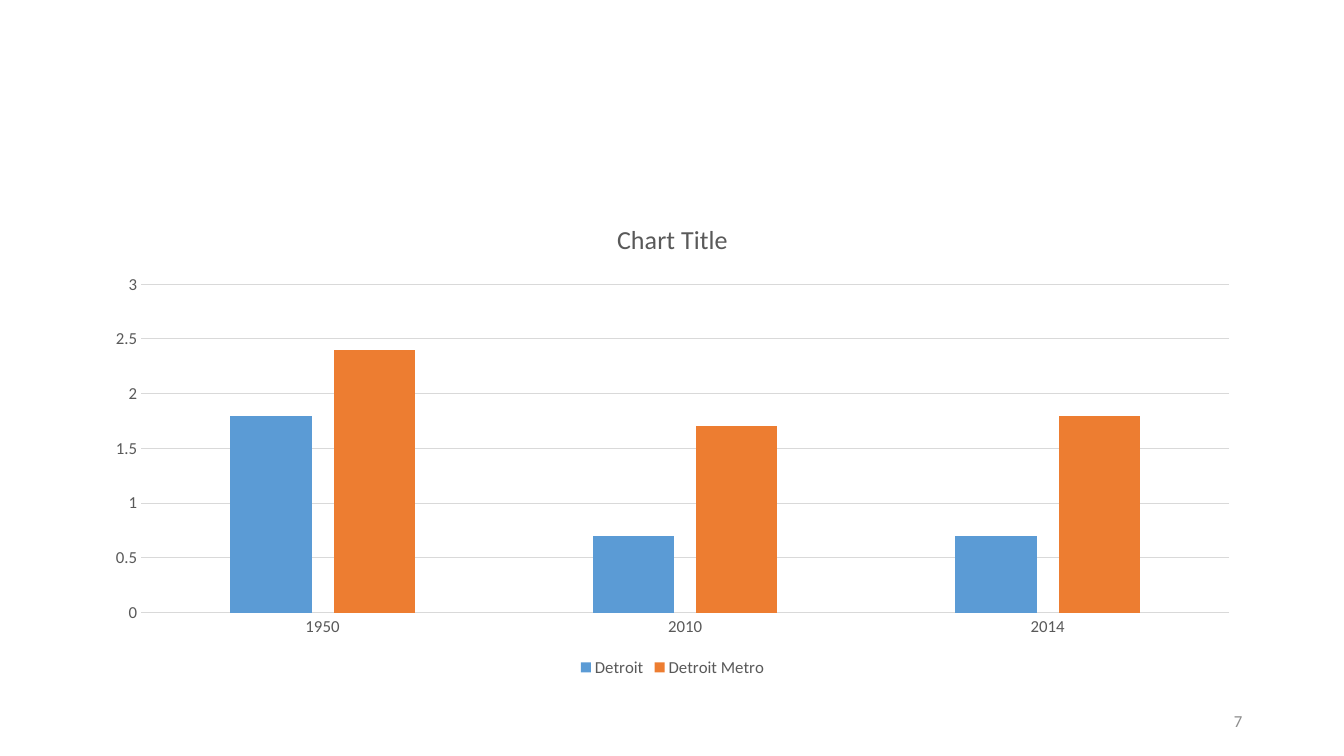
from dataclasses import dataclass

from pptx import Presentation
from pptx.chart.data import CategoryChartData
from pptx.dml.color import RGBColor
from pptx.enum.chart import XL_CHART_TYPE as ChartType
from pptx.enum.chart import XL_LEGEND_POSITION as LegendPosition
from pptx.enum.chart import XL_TICK_MARK as TickMark
from pptx.enum.text import MSO_ANCHOR as Anchor
from pptx.enum.text import PP_ALIGN as Align
from pptx.util import Inches, Pt

FONT = "Calibri"
COLORS = {
    "text": "595959",
    "number": "8C8C8C",
    "line": "D9D9D9",
    "city": "5B9BD5",
    "metro": "ED7D31",
}


@dataclass
class Population:
    name: str
    values: tuple[float, ...]
    color: str


YEARS = ("1950", "2010", "2014")
POPULATIONS = (
    Population("Detroit", (1.8, 0.7, 0.7), "city"),
    Population("Detroit Metro", (2.4, 1.7, 1.8), "metro"),
)


def rgb(color: str) -> RGBColor:
    return RGBColor.from_string(COLORS[color])


def style_font(font, size: float = 12, color: str = "text") -> None:
    font.name = FONT
    font.size = Pt(size)
    font.bold = False
    font.color.rgb = rgb(color)


def style_line(line) -> None:
    line.color.rgb = rgb("line")
    line.width = Pt(0.75)


def write(frame, text: str, *, size: float = 12, color: str = "text",
          align: Align = Align.CENTER) -> None:
    paragraph = frame.paragraphs[0]
    paragraph.alignment = align
    run = paragraph.add_run()
    run.text = text
    style_font(run.font, size, color)


def add_population_chart(slide) -> None:
    data = CategoryChartData()
    data.categories = YEARS
    for population in POPULATIONS:
        data.add_series(population.name, population.values)
    chart = slide.shapes.add_chart(
        ChartType.COLUMN_CLUSTERED,
        Inches(0.92), Inches(2), Inches(11.5), Inches(4.76), data).chart
    style_font(chart.font)

    # Title and legend
    chart.has_title = True
    write(chart.chart_title.text_frame, "Chart Title", size=18.6)
    chart.chart_title.include_in_layout = False
    chart.has_legend = True
    chart.legend.position = LegendPosition.BOTTOM
    chart.legend.include_in_layout = False
    style_font(chart.legend.font)

    # Axes
    years, millions = chart.category_axis, chart.value_axis
    for axis in (years, millions):
        axis.major_tick_mark = TickMark.NONE
        axis.minor_tick_mark = TickMark.NONE
        style_font(axis.tick_labels.font)
    style_line(years.format.line)
    millions.format.line.fill.background()
    millions.has_major_gridlines = True
    style_line(millions.major_gridlines.format.line)
    millions.minimum_scale = 0
    millions.maximum_scale = 3
    millions.major_unit = 0.5

    # Columns
    plot = chart.plots[0]
    plot.gap_width = 219
    plot.overlap = -27
    plot.vary_by_categories = False
    for series, population in zip(plot.series, POPULATIONS):
        series.format.fill.solid()
        series.format.fill.fore_color.rgb = rgb(population.color)


def add_page_number(slide, number: str) -> None:
    frame = slide.shapes.add_textbox(
        Inches(9.42), Inches(6.95), Inches(3), Inches(0.4)).text_frame
    frame.word_wrap = True
    frame.vertical_anchor = Anchor.MIDDLE
    write(frame, number, color="number", align=Align.RIGHT)


def main() -> None:
    deck = Presentation()
    deck.slide_width = Inches(13.33)
    deck.slide_height = Inches(7.5)
    slide = deck.slides.add_slide(deck.slide_layouts[6])
    add_page_number(slide, "7")
    add_population_chart(slide)
    deck.save("out.pptx")


if __name__ == "__main__":
    main()
